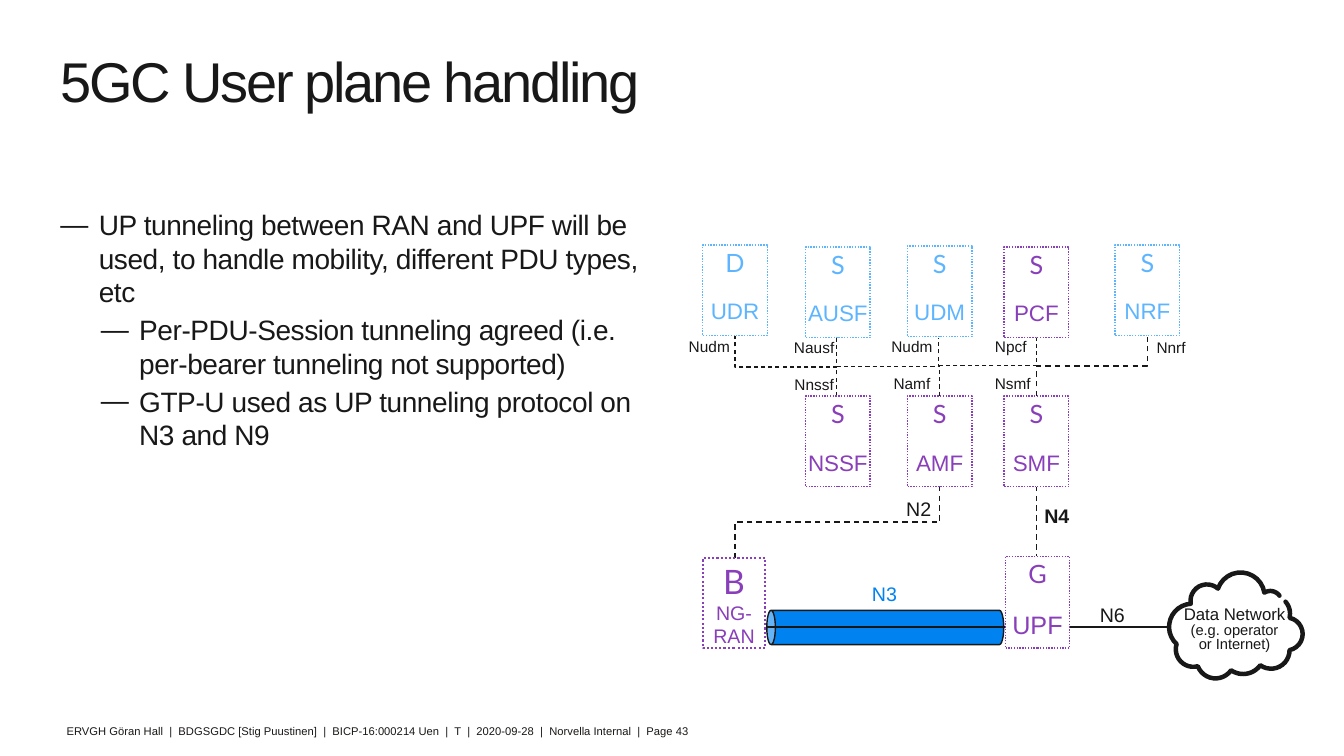
import math

from lxml import etree
from pptx import Presentation
from pptx.dml.color import RGBColor
from pptx.enum import dml, shapes, text
from pptx.oxml.ns import qn
from pptx.util import Emu, Pt

PX = 9144  # 100 px to the inch
INK = RGBColor(0x18, 0x18, 0x18)
FOOTER_INK = RGBColor(0x1A, 0x18, 0x16)
WHITE = RGBColor(0xFF, 0xFF, 0xFF)
BLUE = RGBColor(0x00, 0x82, 0xF0)
SKY = RGBColor(0x5D, 0xB5, 0xFF)
PURPLE = RGBColor(0x89, 0x3E, 0xBA)
DASH = dml.MSO_LINE.DASH
CENTER = text.PP_ALIGN.CENTER
MIDDLE = text.MSO_ANCHOR.MIDDLE


def px(*lengths):
    return [Emu(round(length * PX)) for length in lengths]


def write(paragraph, words, size=14, color=INK, font="Arial", bold=None,
          align=text.PP_ALIGN.LEFT, spacing=None, before=0, tracking=None):
    """Add one formatted run; tracking is in hundredths of a point."""
    paragraph.alignment = align
    paragraph.space_before = Pt(before)
    if spacing:
        paragraph.line_spacing = spacing
    run = paragraph.add_run()
    run.text = words
    run.font.size, run.font.name, run.font.bold = Pt(size), font, bold
    run.font.color.rgb = color
    if tracking:
        run._r.get_or_add_rPr().set("spc", str(tracking))


def add_dash_bullet(paragraph, left, hanging):
    props = paragraph._p.get_or_add_pPr()
    props.set("marL", str(left * PX))
    props.set("indent", str(-hanging * PX))
    color = etree.SubElement(props, qn("a:buClr"))
    etree.SubElement(color, qn("a:srgbClr")).set("val", str(INK))
    etree.SubElement(props, qn("a:buFont")).set("typeface", "Arial")
    etree.SubElement(props, qn("a:buChar")).set("char", "—")


def arc_points(start, end, bulge, steps=12):
    """Points of a circular arc rising by bulge to the left of its chord."""
    (x1, y1), (x2, y2) = start, end
    chord = math.hypot(x2 - x1, y2 - y1)
    along_x, along_y = (x2 - x1) / chord, (y2 - y1) / chord
    half = 2 * math.atan(2 * bulge / chord)
    radius = chord / (2 * math.sin(half))
    for step in range(1, steps + 1):
        angle = half * (2 * step / steps - 1)
        along = radius * math.sin(angle)
        out = radius * (math.cos(angle) - math.cos(half))
        yield ((x1 + x2) / 2 + along * along_x + out * along_y,
               (y1 + y2) / 2 + along * along_y - out * along_x)


class Diagram:
    def __init__(self, slide):
        self.slide = slide
        self.shapes = slide.shapes

    def set_frame(self, frame, insets, wrap=True, anchor=text.MSO_ANCHOR.TOP):
        frame.auto_size = text.MSO_AUTO_SIZE.NONE
        frame.word_wrap = wrap
        frame.vertical_anchor = anchor
        (frame.margin_left, frame.margin_top,
         frame.margin_right, frame.margin_bottom) = px(*insets)
        return frame

    def placeholder(self, holder, left, top, width, height):
        holder.left, holder.top, holder.width, holder.height = px(left, top, width, height)
        return self.set_frame(holder.text_frame, (8, 4, 8, 4))

    def title(self, words, *box):
        frame = self.placeholder(self.shapes.title, *box)
        write(frame.paragraphs[0], words, size=40, spacing=0.85, tracking=-160)

    def bullets(self, items, *box):
        frame = self.placeholder(self.slide.placeholders[1], *box)
        for index, (level, words) in enumerate(items):
            item = frame.add_paragraph() if index else frame.paragraphs[0]
            item.level = level
            add_dash_bullet(item, 38 + 40 * level, 38)
            write(item, words, size=20, before=3 if index else 0, tracking=-30)

    def label(self, lines, left, top, width, height, insets=(10, 5, 10, 5),
              wrap=False, anchor=text.MSO_ANCHOR.TOP, **style):
        """Text box; lines is a list of (words, size)."""
        box = self.shapes.add_textbox(*px(left, top, width, height))
        frame = self.set_frame(box.text_frame, insets, wrap, anchor)
        for index, (words, size) in enumerate(lines):
            line = frame.add_paragraph() if index else frame.paragraphs[0]
            write(line, words, size=size, **style)

    def shape(self, kind, box, fill, line, width):
        shape = self.shapes.add_shape(kind, *px(*box))
        shape.shadow.inherit = False
        shape.fill.solid()
        shape.fill.fore_color.rgb = fill
        shape.line.color.rgb = line
        shape.line.width = Pt(width)
        return shape

    def function(self, icon, name, left, top, color=PURPLE, width=64, height=90,
                 icon_size=18, name_size=16, gap=14.5, border=1):
        """Dotted network function box with an icon letter over its name."""
        box = self.shape(shapes.MSO_SHAPE.RECTANGLE, (left, top, width, height),
                         WHITE, color, border)
        box.line.dash_style = dml.MSO_LINE.ROUND_DOT
        frame = self.set_frame(box.text_frame, (0, 2, 0, 0))
        write(frame.paragraphs[0], icon, size=icon_size, color=color, font="Lato", align=CENTER)
        write(frame.add_paragraph(), name, size=name_size, color=color,
              align=CENTER, before=gap)

    def connector(self, kind, begin, end, width, dash):
        link = self.shapes.add_connector(kind, *px(*begin, *end))
        link.line.color.rgb = INK
        link.line.width = Pt(width)
        link.line.dash_style = dash
        etree.SubElement(link._element.spPr, qn("a:effectLst"))
        return link

    def straight(self, begin, end, width=1, dash=None):
        self.connector(shapes.MSO_CONNECTOR.STRAIGHT, begin, end, width, dash)

    def elbow(self, begin, end, rail, width=1):
        """Dashed vertical-horizontal-vertical link whose middle runs at y = rail."""
        (x1, y1), (x2, y2) = begin, end
        mid_x, mid_y = (x1 + x2) / 2, (y1 + y2) / 2
        half_x, half_y = (x2 - x1) / 2, (y2 - y1) / 2
        link = self.connector(shapes.MSO_CONNECTOR.ELBOW, (mid_x - half_y, mid_y + half_x),
                              (mid_x + half_y, mid_y - half_x), width, DASH)
        link.rotation = 90
        geometry = link._element.spPr.find(qn("a:prstGeom"))
        values = geometry.find(qn("a:avLst"))
        if values is None:
            values = etree.SubElement(geometry, qn("a:avLst"))
        guide = etree.SubElement(values, qn("a:gd"))
        guide.set("name", "adj1")
        guide.set("fmla", f"val {round(100000 * (rail - y1) / (y2 - y1))}")

    def cloud(self, start, lobes):
        """Open outline of arcs; lobes is a list of (end point, bulge)."""
        points, corner = [], start
        for end, bulge in lobes:
            points += [px(*point) for point in arc_points(corner, end, bulge)]
            corner = end
        builder = self.shapes.build_freeform(*px(*start))
        builder.add_line_segments(points, close=False)
        outline = builder.convert_to_shape()
        outline.shadow.inherit = False
        outline.fill.background()
        outline.line.color.rgb = INK
        outline.line.width = Pt(3.2)
        stroke = outline.line._get_or_add_ln()
        stroke.set("cap", "rnd")
        etree.SubElement(stroke, qn("a:round"))


def main():
    deck = Presentation()
    deck.slide_width, deck.slide_height = px(1333, 750)
    d = Diagram(deck.slides.add_slide(deck.slide_layouts[1]))

    d.label([("ERVGH Göran Hall  |  BDGSGDC [Stig Puustinen]  |  BICP-16:000214 Uen  |  T  |  "
              "2020-09-28  |  Norvella Internal  |  Page 43", 8)],
            58, 714, 1079, 24, insets=(8, 5, 8, 5), wrap=True, color=FOOTER_INK)
    d.title("5GC User plane handling", 52, 52, 914, 118)
    d.bullets([
        (0, "UP tunneling between RAN and UPF will be used, to handle mobility, "
            "different PDU types, etc"),
        (1, "Per-PDU-Session tunneling agreed (i.e. per-bearer tunneling not supported)"),
        (1, "GTP-U used as UP tunneling protocol on N3 and N9"),
    ], 52, 202, 598, 480)

    tunnel = d.shape(shapes.MSO_SHAPE.CAN, (861, 505, 34, 235), BLUE, INK, 1)
    tunnel.rotation = 270
    d.straight((761, 622), (1160, 622))
    d.straight((1028, 482), (1028, 552), dash=DASH)
    d.elbow((830, 393), (931, 335), 364, 0.75)
    d.elbow((1028, 393), (1138, 334), 363)
    d.elbow((932, 482), (729, 554), 518)
    d.elbow((1028, 334), (932, 393), 363, 0.75)
    d.elbow((830, 335), (729, 333), 364, 0.75)

    for name, left, top, style in [
            ("N3", 855, 572, {"color": BLUE}), ("N2", 889, 488, {}),
            ("N6", 1081, 593, {}), ("N4", 1026, 495, {"bold": True})]:
        d.label([(name, 14)], left, top, 47, 34, **style)
    for name, left, top in [
            ("Nudm", 649, 338), ("Nausf", 753, 339), ("Nudm", 850, 338), ("Npcf", 948, 338),
            ("Nnrf", 1107, 339), ("Nnssf", 753, 376), ("Namf", 850, 375), ("Nsmf", 950, 375)]:
        d.label([(name, 11)], left, top, 109, 15, insets=(0, 0, 0, 0), wrap=True,
                anchor=MIDDLE, align=CENTER, spacing=0.8)

    d.cloud((1275, 597), [
        ((1279, 613), 2), ((1279, 645), 13), ((1250, 660), 10), ((1221, 665), 6),
        ((1188, 661), 10), ((1167, 639), 9), ((1181, 599), 14), ((1208, 584), 11),
        ((1254, 588), 18), ((1269, 591), 3)])
    d.label([("Data Network", 12), ("(e.g. operator", 10.5), ("or Internet)", 10.5)],
            1170, 597, 109, 56, insets=(0, 5, 0, 5), wrap=True, anchor=MIDDLE,
            align=CENTER, spacing=0.8)

    for icon, name, left, top, color in [
            ("D", "UDR", 697, 243, SKY), ("S", "AUSF", 799, 245, SKY),
            ("S", "UDM", 900, 244, SKY), ("S", "PCF", 996, 245, PURPLE),
            ("S", "NRF", 1106, 243, SKY), ("S", "NSSF", 799, 393, PURPLE),
            ("S", "AMF", 900, 393, PURPLE), ("S", "SMF", 996, 393, PURPLE)]:
        d.function(icon, name, left, top, color)
    d.function("G", "UPF", 997, 552, height=91, name_size=18)
    d.function("B", "NG-RAN", 697, 554, width=62, height=89, icon_size=24,
               name_size=14, gap=0, border=1.5)
    deck.save("out.pptx")


if __name__ == "__main__":
    main()
